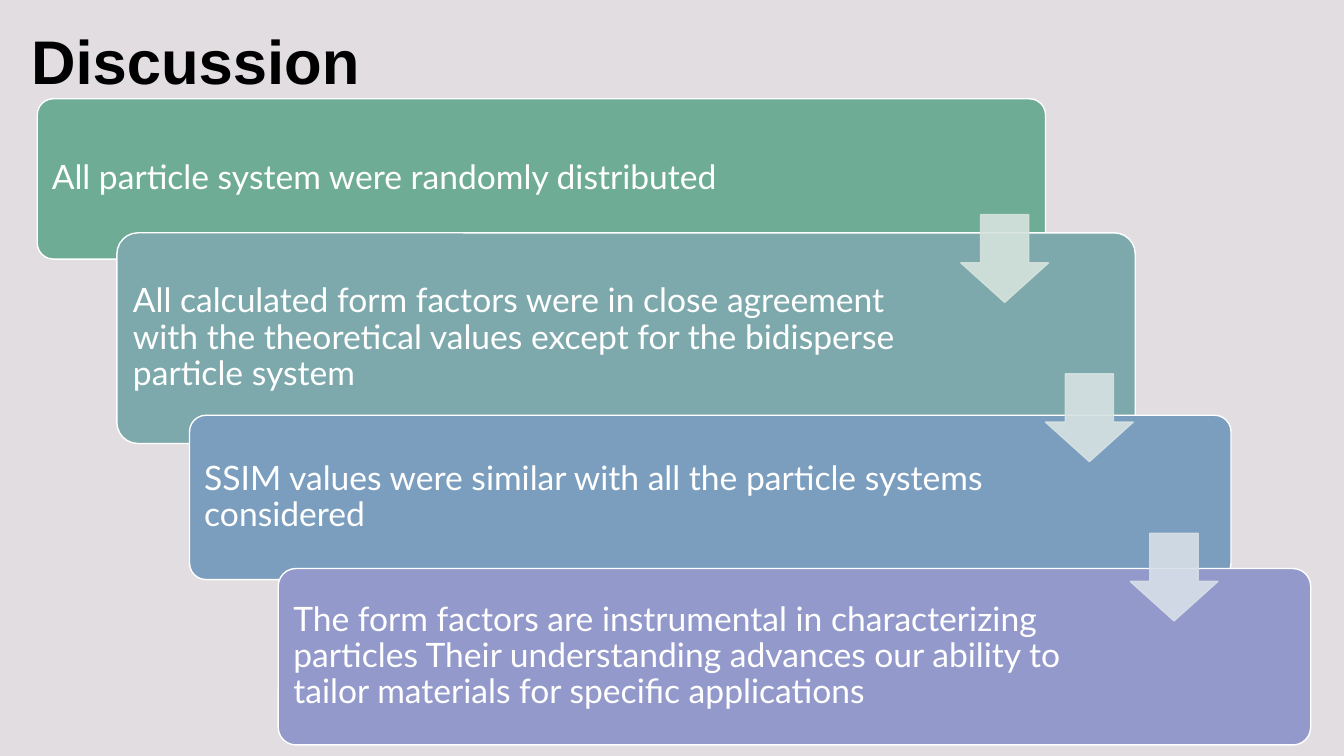
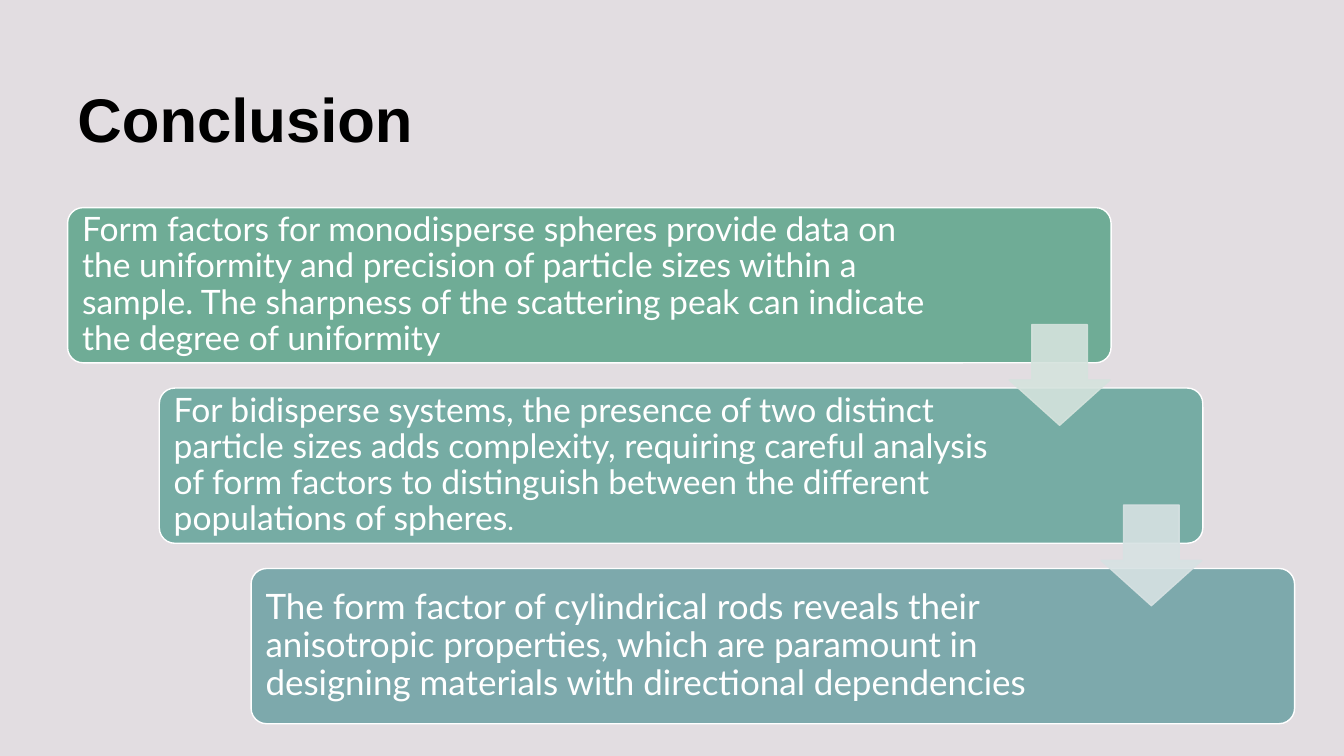
import dataclasses
import typing

import lxml.etree
import pptx
import pptx.dml.color
import pptx.enum.shapes
import pptx.enum.text
import pptx.oxml.ns
import pptx.util

Inches = pptx.util.Inches
Shapes = pptx.enum.shapes.MSO_SHAPE
Anchor = pptx.enum.text.MSO_ANCHOR
Align = pptx.enum.text.PP_ALIGN


# Shared look
@dataclasses.dataclass(frozen=True)
class Theme:
    background: str = "E2DDE1"
    title_color: str = "000000"
    card_text: str = "FFFFFF"
    card_line: str = "FFFFFF"
    green: str = "6FAC96"
    green_teal: str = "76ACA4"
    teal: str = "7DA9AC"
    blue: str = "7B9EBE"
    violet: str = "9399CA"
    arrow_colors: tuple = ("D5E3DD", "D7E2E3", "D7DFE8")
    arrow_opacity: int = 90
    title_font: str = "Arial"
    card_font: str = "Lato"
    title_size: float = 44
    card_size: float = 24
    card_size_large: float = 25
    full_stop_size: float = 20


THEME = Theme()


class Card(typing.NamedTuple):
    left: float
    top: float
    width: float
    height: float
    color: str
    right_inset: float
    spans: list  # (text, size) pairs


def rgb(color):
    return pptx.dml.color.RGBColor.from_string(color)


def set_opacity(fill_format, percent):
    """Add an alpha value to a solid fill."""
    color = fill_format._xPr.find(".//" + pptx.oxml.ns.qn("a:srgbClr"))
    alpha = lxml.etree.SubElement(color, pptx.oxml.ns.qn("a:alpha"))
    alpha.set("val", str(percent * 1000))


def format_span(span, font, size, color, bold=False):
    span.font.name = font
    span.font.size = pptx.util.Pt(size)
    span.font.color.rgb = rgb(color)
    span.font.bold = bold


def add_filled_shape(page, kind, bounds, fill, line):
    shape = page.shapes.add_shape(kind, *map(Inches, bounds))
    shape.shadow.inherit = False
    shape.fill.solid()
    shape.fill.fore_color.rgb = rgb(fill)
    shape.line.color.rgb = rgb(line)
    shape.line.width = pptx.util.Pt(1)
    return shape


def add_title(page, text, left, top, height):
    box = page.shapes.add_textbox(*map(Inches, (left, top, 12, height)))
    frame = box.text_frame
    frame.word_wrap = True
    frame.vertical_anchor = Anchor.BOTTOM
    frame.text = text
    format_span(frame.paragraphs[0].runs[0], THEME.title_font,
                THEME.title_size, THEME.title_color, bold=True)


def add_card(page, card):
    box = add_filled_shape(page, Shapes.ROUNDED_RECTANGLE, card[:4],
                           card.color, THEME.card_line)
    box.adjustments[0] = 0.1
    frame = box.text_frame
    frame.word_wrap = True
    frame.vertical_anchor = Anchor.MIDDLE
    frame.margin_left = frame.margin_top = frame.margin_bottom = Inches(0.1)
    frame.margin_right = Inches(card.right_inset)
    para = frame.paragraphs[0]
    para.alignment = Align.LEFT
    para.line_spacing = 0.9
    for text, size in card.spans:
        span = para.add_run()
        span.text = text
        format_span(span, THEME.card_font, size, THEME.card_text)


def add_arrow(page, left, top, size, color):
    arrow = add_filled_shape(page, Shapes.DOWN_ARROW,
                             (left, top, size, size), color, color)
    arrow.adjustments[0] = 0.55
    arrow.adjustments[1] = 0.45
    set_opacity(arrow.fill, THEME.arrow_opacity)
    set_opacity(arrow.line.fill, THEME.arrow_opacity)


def add_staircase(page, cards, arrow_start, arrow_step, arrow_size):
    """Draw the cards, then one arrow between each pair of neighbours."""
    for card in cards:
        add_card(page, card)
    for index in range(len(cards) - 1):
        left, top = (start + index * step
                     for start, step in zip(arrow_start, arrow_step))
        add_arrow(page, left, top, arrow_size, THEME.arrow_colors[index])


def add_page(deck):
    return deck.slides.add_slide(deck.slide_layouts[6])


def build_discussion(deck):
    page = add_page(deck)
    add_title(page, "Discussion", 0.21, 0, 1.01)
    size = THEME.card_size
    cards = [
        Card(0.37, 0.98, 10, 1.59, THEME.green, 1.57, [
            ("All particle system were randomly distributed", size)]),
        Card(1.16, 2.31, 10.1, 2.09, THEME.teal, 1.82, [
            ("All calculated form factors were in close agreement with the "
             "theoretical values except for the bidisperse particle system",
             size)]),
        Card(1.88, 4.12, 10.33, 1.63, THEME.blue, 1.84, [
            ("SSIM values were similar with all the particle systems "
             "considered", size)]),
        Card(2.76, 5.64, 10.24, 1.75, THEME.violet, 1.84, [
            ("The form factors are instrumental in characterizing particles "
             "Their understanding advances our ability to tailor materials "
             "for specific applications", size)]),
    ]
    add_staircase(page, cards, (9.53, 2.13), (0.84, 1.58), 0.87)


def build_conclusion(deck):
    page = add_page(deck)
    add_title(page, "Conclusion", 0.67, 0.32, 1.27)
    step = (0.91, 1.79)
    contents = [
        (THEME.green, 1.67, [
            ("Form factors for monodisperse spheres provide data on the "
             "uniformity and precision of particle sizes within a sample. "
             "The sharpness of the scattering peak can indicate the degree "
             "of uniformity", THEME.card_size)]),
        (THEME.green_teal, 2.01, [
            ("For bidisperse systems, the presence of two distinct particle "
             "sizes adds complexity, requiring careful analysis of form "
             "factors to distinguish between the different populations of "
             "spheres", THEME.card_size),
            (".", THEME.full_stop_size)]),
        (THEME.teal, 2.01, [
            ("The form factor of cylindrical rods reveals their anisotropic "
             "properties, which are paramount in designing materials with "
             "directional dependencies", THEME.card_size_large)]),
    ]
    cards = [Card(0.67 + index * step[0], 2.06 + index * step[1],
                  10.35, 1.54, *content)
             for index, content in enumerate(contents)]
    add_staircase(page, cards, (10.01, 3.22), step, 1)


def main():
    deck = pptx.Presentation()
    deck.slide_width = Inches(13.33)
    deck.slide_height = Inches(7.5)
    # Background shared by every slide
    background = deck.slide_master.background.fill
    background.solid()
    background.fore_color.rgb = rgb(THEME.background)
    build_discussion(deck)
    build_conclusion(deck)
    deck.save("out.pptx")


if __name__ == "__main__":
    main()
